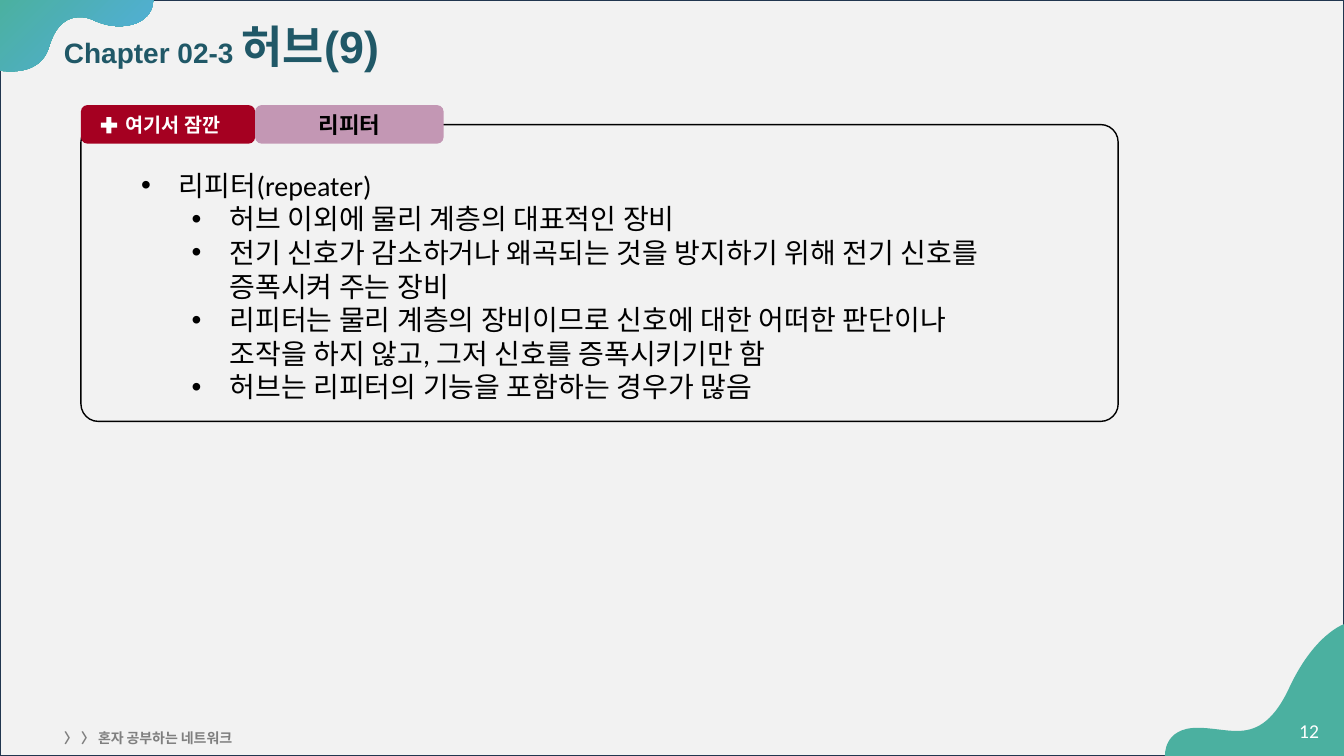
from dataclasses import dataclass
from typing import Optional

from lxml import etree
from pptx import Presentation
from pptx import util as u
from pptx.dml.color import RGBColor
from pptx.enum import shapes, text
from pptx.oxml import ns

WIDTH, HEIGHT = 33.87, 19.05
INSET = (0.25, 0.13, 0.25, 0.13)
TEAL, BLUE = "4BB0A0", "52AEE1"

Point = tuple[float, float]
Curve = tuple[Point, Point, Point]


@dataclass
class Run:
    content: str
    size: float


@dataclass
class Box:
    left: float
    top: float
    width: float
    height: float
    kind: Optional[shapes.MSO_SHAPE] = None
    corner: Optional[float] = None
    fill: Optional[str] = None
    line: Optional[str] = None


@dataclass
class Wave:
    start: Point
    curves: list[Curve]
    corner: Point
    fill: list[str]


@dataclass
class Bullet:
    content: str
    level: int = 1


def color(value: str) -> RGBColor:
    return RGBColor.from_string(value)


def paint(shape, fill: Optional[str], line: Optional[str]) -> None:
    shape.shadow.inherit = False
    if fill:
        shape.fill.solid()
        shape.fill.fore_color.rgb = color(fill)
    else:
        shape.fill.background()
    if line:
        shape.line.color.rgb = color(line)
        shape.line.width = u.Pt(1)
    else:
        shape.line.fill.background()


def draw_box(slide, box: Box):
    place = [u.Cm(value) for value in (box.left, box.top, box.width, box.height)]
    if box.kind is None:
        return slide.shapes.add_textbox(*place)
    shape = slide.shapes.add_shape(box.kind, *place)
    if box.corner is not None:
        shape.adjustments[0] = box.corner
    paint(shape, box.fill, box.line)
    return shape


def bend(shape, curve_count: int) -> None:
    segments = list(shape._element.iter(ns.qn("a:lnTo")))
    for first in range(0, curve_count * 3, 3):
        group = segments[first:first + 3]
        curve = etree.Element(ns.qn("a:cubicBezTo"))
        group[0].addprevious(curve)
        for segment in group:
            curve.append(segment[0])
            segment.getparent().remove(segment)


def draw_wave(slide, wave: Wave) -> None:
    outline = [wave.start, *(point for curve in wave.curves for point in curve), wave.corner]
    points = [(u.Cm(x), u.Cm(y)) for x, y in outline]
    builder = slide.shapes.build_freeform(*points[0])
    builder.add_line_segments(points[1:], close=True)
    shape = builder.convert_to_shape()
    bend(shape, len(wave.curves))
    paint(shape, wave.fill[0], None)
    if len(wave.fill) > 1:
        shape.fill.gradient()
        shape.fill.gradient_angle = 315
        for stop, value in zip(shape.fill.gradient_stops, wave.fill):
            stop.color.rgb = color(value)


def add_bullet(paragraph, level: int) -> None:
    paragraph.level = level
    properties = paragraph._p.get_or_add_pPr()
    properties.set("marL", str(u.Cm(0.95 + 1.27 * level)))
    properties.set("indent", str(u.Cm(-0.95)))
    bullet_color = etree.SubElement(properties, ns.qn("a:buClr"))
    etree.SubElement(bullet_color, ns.qn("a:srgbClr"), val="000000")
    etree.SubElement(properties, ns.qn("a:buFont"), typeface="Arial")
    etree.SubElement(properties, ns.qn("a:buChar"), char="•")


def write(
    shape,
    lines: list,
    *,
    size: float = 20,
    font: str = "Calibri",
    ink: str = "000000",
    bold: bool = False,
    align=text.PP_ALIGN.LEFT,
    anchor=text.MSO_ANCHOR.TOP,
    inset: tuple = INSET,
    spacing: float = 1.0,
) -> None:
    frame = shape.text_frame
    frame.word_wrap = True
    frame.vertical_anchor = anchor
    frame.margin_left, frame.margin_top, frame.margin_right, frame.margin_bottom = map(u.Cm, inset)
    for index, line in enumerate(lines):
        paragraph = frame.add_paragraph() if index else frame.paragraphs[0]
        paragraph.alignment = align
        paragraph.line_spacing = spacing
        if isinstance(line, Bullet):
            add_bullet(paragraph, line.level)
            line = line.content
        for part in line if isinstance(line, list) else [Run(line, size)]:
            for row, words in enumerate(part.content.split("\n")):
                if row:
                    paragraph.add_line_break()
                run = paragraph.add_run()
                run.text = words
                run.font.size = u.Pt(part.size)
                run.font.bold = bold
                run.font.color.rgb = color(ink)
                run.font.name = font
                etree.SubElement(run._r.get_or_add_rPr(), ns.qn("a:ea"), typeface=font)


TOP_WAVE = Wave(
    (0, 1.78),
    [
        ((0, 1.78), (0.1, 1.8), (0.28, 1.8)),
        ((0.61, 1.8), (1.09, 1.7), (1.24, 1.17)),
        ((1.42, 0.58), (1.73, 0.43), (2.01, 0.43)),
        ((2.13, 0.43), (2.26, 0.46), (2.36, 0.51)),
        ((2.57, 0.61), (2.79, 0.66), (3, 0.66)),
        ((3.48, 0.66), (3.86, 0.43), (3.86, 0)),
    ],
    (0, 0),
    [TEAL, BLUE],
)
BOTTOM_WAVE = Wave(
    (WIDTH, 15.73),
    [
        ((WIDTH, 15.73), (33.1, 15.98), (32.46, 17.4)),
        ((32.05, 18.24), (31.62, 18.42), (31.17, 18.42)),
        ((30.86, 18.42), (30.53, 18.34), (30.18, 18.34)),
        ((29.31, 18.34), (29.36, HEIGHT), (29.36, HEIGHT)),
    ],
    (WIDTH, HEIGHT),
    [TEAL],
)
REPEATER_NOTES = [
    Bullet("리피터(repeater)", 0),
    Bullet("허브 이외에 물리 계층의 대표적인 장비"),
    Bullet("전기 신호가 감소하거나 왜곡되는 것을 방지하기 위해 전기 신호를 증폭시켜 주는 장비"),
    Bullet("리피터는 물리 계층의 장비이므로 신호에 대한 어떠한 판단이나 \n조작을 하지 않고, 그저 신호를 증폭시키기만 함"),
    Bullet("허브는 리피터의 기능을 포함하는 경우가 많음"),
]


def main() -> None:
    presentation = Presentation()
    presentation.slide_width, presentation.slide_height = u.Cm(WIDTH), u.Cm(HEIGHT)
    slide = presentation.slides.add_slide(presentation.slide_layouts[6])
    rounded = shapes.MSO_SHAPE.ROUNDED_RECTANGLE
    middle, center = text.MSO_ANCHOR.MIDDLE, text.PP_ALIGN.CENTER

    draw_box(slide, Box(0, 0, WIDTH, HEIGHT, shapes.MSO_SHAPE.RECTANGLE, fill="F2F2F2", line="21364F"))
    for wave in (TOP_WAVE, BOTTOM_WAVE):
        draw_wave(slide, wave)

    title = [Run("Chapter 02-3 ", 20), Run("허브(9)", 32)]
    write(draw_box(slide, Box(1.36, 0.3, 31.34, 1.85)), [title],
          font="Arial", ink="205867", bold=True, anchor=middle, spacing=0.9)
    write(draw_box(slide, Box(32.49, 17.98, 1.12, 1.02)), ["12"], size=14, ink="FFFFFF")
    write(draw_box(slide, Box(1.36, 18.26, 11.43, 0.61)), ["〉 〉 혼자 공부하는 네트워크"],
          size=10, ink="7F7F7F", bold=True)
    write(draw_box(slide, Box(3.31, 4.11, 23.8, 6.25)), REPEATER_NOTES)

    draw_box(slide, Box(2.04, 3.14, 26.14, 7.48, rounded, 0.059, line="000000"))
    write(draw_box(slide, Box(2.04, 2.65, 4.39, 0.97, rounded, 0.167, "A50021")), ["여기서 잠깐"],
          size=14, ink="FFFFFF", bold=True, align=center, anchor=middle, inset=(0.5, 0.13, 0.25, 0.13))
    write(draw_box(slide, Box(6.43, 2.65, 4.75, 0.97, rounded, 0.167, "C397B4")), ["리피터"],
          size=16, bold=True, align=center, anchor=middle)
    draw_box(slide, Box(2.54, 2.95, 0.41, 0.41, shapes.MSO_SHAPE.CROSS, 0.341, "FFFFFF"))
    presentation.save("out.pptx")


if __name__ == "__main__":
    main()
